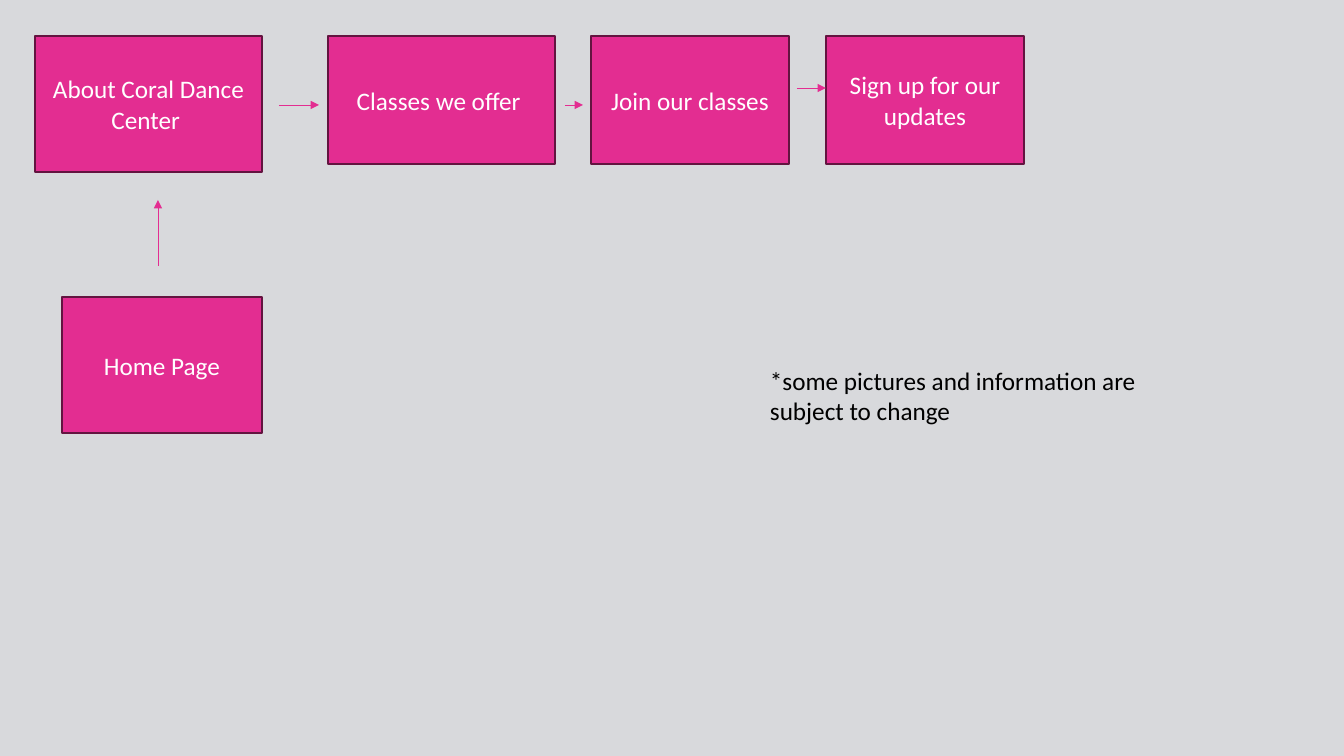
import pptx
import pptx.dml.color
import pptx.enum.shapes
import pptx.enum.text
import pptx.oxml
import pptx.oxml.ns
import pptx.util

RGBColor = pptx.dml.color.RGBColor
BACKGROUND = RGBColor(0xD8, 0xD9, 0xDC)
PINK = RGBColor(0xE3, 0x2D, 0x91)
PLUM = RGBColor(0x63, 0x14, 0x40)
WHITE = RGBColor(0xFF, 0xFF, 0xFF)
BLACK = RGBColor(0x00, 0x00, 0x00)

EMU_PER_PX = 914400 / 100.8
TOP = 36
ARROW_Y = 105

PAGES = [
    ("About Coral Dance Center ", 35, TOP, 227, 136),
    ("Classes we offer ", 328, TOP, 227, 128),
    ("Join our classes", 591, TOP, 198, 128),
    ("Sign up for our updates", 826, TOP, 198, 128),
    ("Home Page", 62, 297, 200, 136),
]
ARROWS = [
    (158, 266, 158, 200),
    (279, ARROW_Y, 319, ARROW_Y),
    (565, ARROW_Y, 583, ARROW_Y),
    (797, 88, 826, 88),
]


def px(*lengths):
    return [pptx.util.Emu(round(length * EMU_PER_PX)) for length in lengths]


class SiteMap:
    font_format = {"name": "Calibri", "size": pptx.util.Pt(18)}

    def __init__(self, presentation):
        self.slide = presentation.slides.add_slide(presentation.slide_layouts[6])
        fill = self.slide.background.fill
        fill.solid()
        fill.fore_color.rgb = BACKGROUND

    def set_text(self, shape, text, color, alignment, frame_format):
        frame = shape.text_frame
        for name, value in frame_format.items():
            setattr(frame, name, value)
        paragraph = frame.paragraphs[0]
        paragraph.alignment = alignment
        run = paragraph.add_run()
        run.text = text
        for name, value in self.font_format.items():
            setattr(run.font, name, value)
        run.font.color.rgb = color

    def add_page(self, text, left, top, width, height):
        shape = self.slide.shapes.add_shape(
            pptx.enum.shapes.MSO_SHAPE.RECTANGLE, *px(left, top, width, height)
        )
        shape.shadow.inherit = False
        shape.fill.solid()
        shape.fill.fore_color.rgb = PINK
        shape.line.color.rgb = PLUM
        shape.line.width = pptx.util.Pt(1)
        frame_format = {
            "word_wrap": True,
            "vertical_anchor": pptx.enum.text.MSO_ANCHOR.MIDDLE,
        }
        self.set_text(shape, text, WHITE, pptx.enum.text.PP_ALIGN.CENTER, frame_format)

    def add_arrow(self, *ends):
        connector = self.slide.shapes.add_connector(
            pptx.enum.shapes.MSO_CONNECTOR.STRAIGHT, *px(*ends)
        )
        connector.line.color.rgb = PINK
        connector.line.width = pptx.util.Pt(0.5)
        line = connector.line._get_or_add_ln()
        namespace = pptx.oxml.ns.nsdecls("a")
        line.append(pptx.oxml.parse_xml(f'<a:tailEnd {namespace} type="triangle"/>'))
        properties = connector._element.spPr
        properties.append(pptx.oxml.parse_xml(f"<a:effectLst {namespace}/>"))

    def add_note(self, text, left, top, width, height):
        shape = self.slide.shapes.add_textbox(*px(left, top, width, height))
        frame_format = {
            "word_wrap": True,
            "auto_size": pptx.enum.text.MSO_AUTO_SIZE.SHAPE_TO_FIT_TEXT,
        }
        self.set_text(shape, text, BLACK, pptx.enum.text.PP_ALIGN.LEFT, frame_format)


def main():
    presentation = pptx.Presentation()
    presentation.slide_width, presentation.slide_height = px(1344, 756)
    site_map = SiteMap(presentation)
    for page in PAGES:
        site_map.add_page(*page)
    for arrow in ARROWS:
        site_map.add_arrow(*arrow)
    site_map.add_note(
        "*some pictures and information are subject to change", 760, 360, 418, 72
    )
    presentation.save("out.pptx")


if __name__ == "__main__":
    main()
